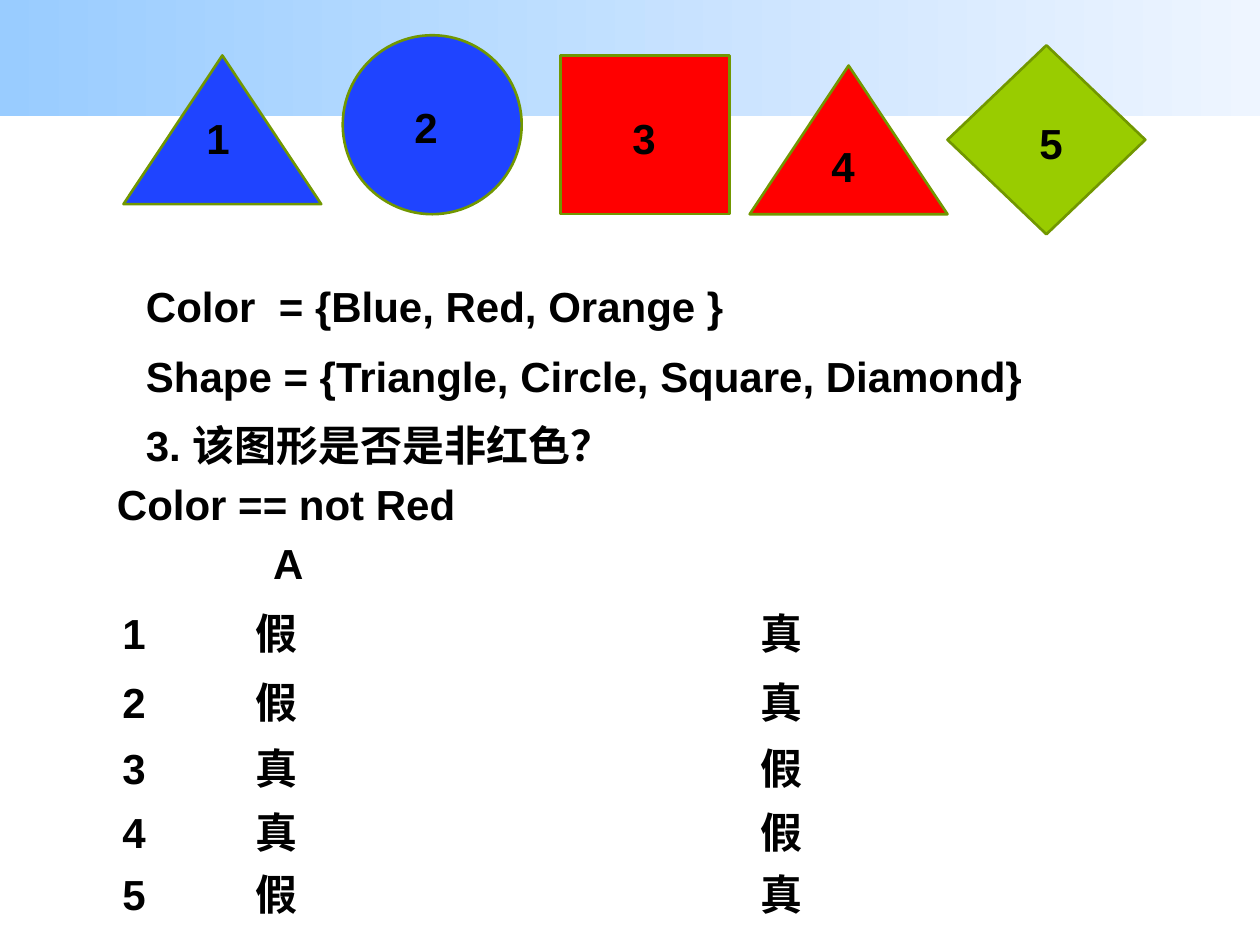
from pptx import Presentation
from pptx.dml.color import RGBColor
from pptx.enum import shapes, text
from pptx.util import Inches, Pt

BLUE = RGBColor(0x1F, 0x44, 0xFF)
RED = RGBColor(0xFF, 0x00, 0x00)
GREEN = RGBColor(0x99, 0xCC, 0x00)
EDGE = RGBColor(0x71, 0x97, 0x00)
BLACK = RGBColor(0x00, 0x00, 0x00)
SKY = RGBColor(0x99, 0xCC, 0xFF)
PALE = RGBColor(0xEE, 0xF5, 0xFF)

KIND = shapes.MSO_SHAPE
ALIGN = text.PP_ALIGN
FONT = {"name": "Arial", "size": Pt(24), "bold": True}

# Numbered figures: kind, fill, box, label corner
FIGURES = [
    (KIND.ISOSCELES_TRIANGLE, BLUE, (0.98, 0.44, 1.57, 1.18), (1.54, 0.84)),
    (KIND.OVAL, BLUE, (2.72, 0.28, 1.42, 1.42), (3.19, 0.76)),
    (KIND.RECTANGLE, RED, (4.45, 0.44, 1.34, 1.26), (4.92, 0.84)),
    (KIND.ISOSCELES_TRIANGLE, RED, (5.95, 0.52, 1.57, 1.18), (6.5, 1.07)),
    (KIND.DIAMOND, GREEN, (7.52, 0.36, 1.57, 1.5), (8.15, 0.88)),
]

# Text lines: words, left, top, width
LINES = [
    ("Color  = {Blue, Red, Orange }", 1.06, 2.18, 7.48),
    ("Shape = {Triangle, Circle, Square, Diamond}", 1.06, 2.73, 7.72),
    ("3. 该图形是否是非红色？", 1.06, 3.28, 5.2),
    ("Color == not Red", 0.83, 3.75, 3.31),
    ("A", 2.07, 4.22, 0.51),
]

# Truth values: top, then the cells of the row
ROWS = [
    (4.77, ("1", "假", "真")),
    (5.32, ("2", "假", "真")),
    (5.84, ("3", "真", "假")),
    (6.35, ("4", "真", "假")),
    (6.84, ("5", "假", "真")),
]
COLS = [(0.83, 0.47, ALIGN.CENTER), (1.93, 0.63, ALIGN.LEFT), (5.94, 0.63, ALIGN.LEFT)]

deck = Presentation()
deck.slide_width, deck.slide_height = Inches(10), Inches(7.5)
slide = deck.slides.add_slide(deck.slide_layouts[6])


def add_form(kind, box):
    form = slide.shapes.add_shape(kind, *map(Inches, box))
    form.shadow.inherit = False
    return form


def add_text(words, left, top, width, align=ALIGN.LEFT):
    box = slide.shapes.add_textbox(*map(Inches, (left, top, width, 0.5)))
    frame = box.text_frame
    frame.word_wrap = True
    frame.auto_size = text.MSO_AUTO_SIZE.SHAPE_TO_FIT_TEXT
    para = frame.paragraphs[0]
    para.alignment = align
    run = para.add_run()
    run.text = words
    for key, value in FONT.items():
        setattr(run.font, key, value)
    run.font.color.rgb = BLACK


# Banner
band = add_form(KIND.RECTANGLE, (0, 0, 10, 0.92))
band.line.fill.background()
band.fill.gradient()
band.fill.gradient_angle = 0
for stop, color, place in zip(band.fill.gradient_stops, (SKY, PALE), (0, 1)):
    stop.color.rgb = color
    stop.position = place

# Figures and their numbers
for num, (kind, color, box, spot) in enumerate(FIGURES, 1):
    form = add_form(kind, box)
    form.fill.solid()
    form.fill.fore_color.rgb = color
    form.line.color.rgb = EDGE
    form.line.width = Pt(1.5)
    add_text(str(num), *spot, 0.47)

# Question
for line in LINES:
    add_text(*line)

# Answers
for top, cells in ROWS:
    for words, (left, width, align) in zip(cells, COLS):
        add_text(words, left, top, width, align)

deck.save("out.pptx")
